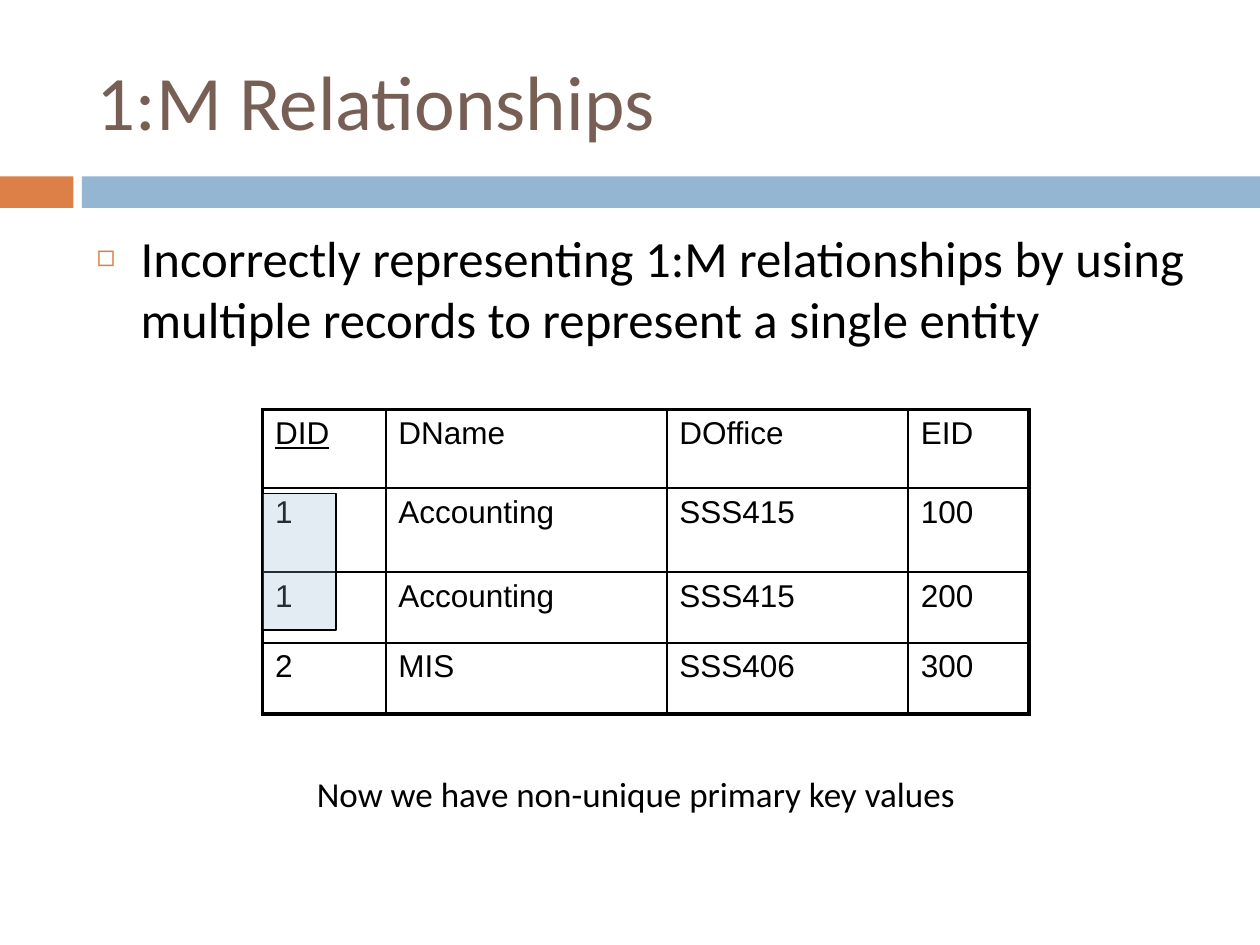
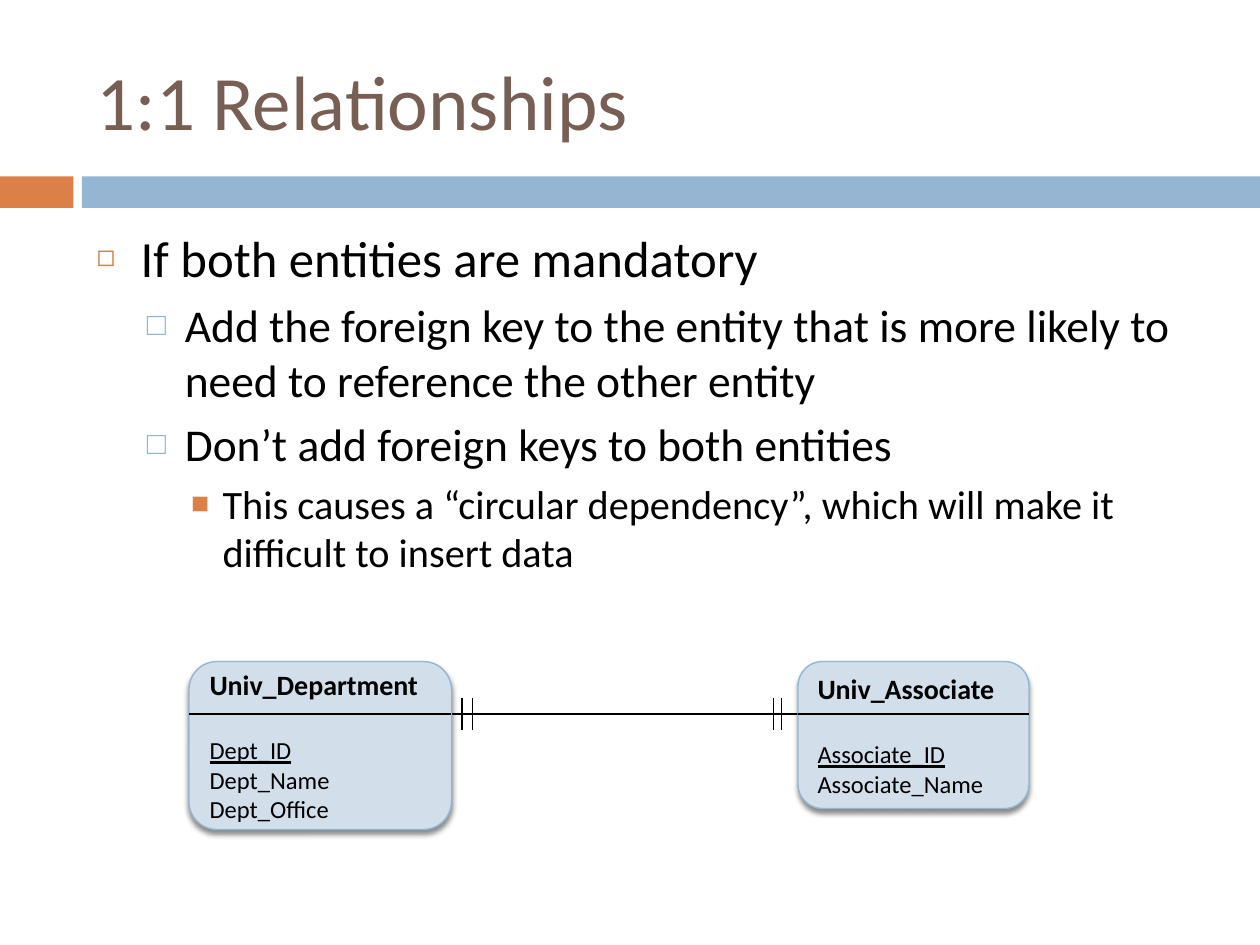
from collections import namedtuple

from lxml.etree import SubElement
from pptx import Presentation
from pptx.dml.color import RGBColor
from pptx.enum.shapes import MSO_CONNECTOR, MSO_SHAPE
from pptx.enum.text import MSO_ANCHOR, MSO_AUTO_SIZE, PP_ALIGN
from pptx.oxml.ns import qn
from pptx.util import Inches, Pt

COLUMNS, ROWS = 120, 90
SLIDE_WIDTH, SLIDE_HEIGHT = Inches(10), Inches(7.5)
BLACK, WHITE, BROWN = "000000", "FFFFFF", "775F55"
ORANGE, BLUE, PALE_BLUE = "DD8047", "94B6D2", "D2DEEA"

Box = namedtuple("Box", "left top width height")
Level = namedtuple("Level", "size indent hang before mark color share")

TITLE_BOX = Box(8, 3, 107, 13)
BODY_BOX = Box(8, 21, 107, 59)
BANDS = ((Box(0, 16.8, 7, 3), ORANGE), (Box(7.8, 16.8, 112.2, 3), BLUE))
LEVELS = (
    Level(29, 0.35, 0.35, 7, "◻", ORANGE, 60),
    Level(26, 0.7, 0.3, 5.5, "□", BLUE, 70),
    Level(23, 1, 0.25, 5, "■", ORANGE, 75),
)


def across(columns):
    """Turn grid columns into a length."""
    return round(SLIDE_WIDTH * columns / COLUMNS)


def down(rows):
    """Turn grid rows into a length."""
    return round(SLIDE_HEIGHT * rows / ROWS)


def measure(box):
    """Turn a grid box into left, top, width and height."""
    return across(box.left), down(box.top), across(box.width), down(box.height)


def rgb(value):
    """Make a colour from a hex string."""
    return RGBColor.from_string(value)


def write(frame, text, size=18, font="Calibri", color=BLACK, bold=False,
          underline=False, before=0, level=0):
    """Add one formatted paragraph to a text frame and return it."""
    paragraph = frame.paragraphs[-1]
    if paragraph.runs:
        paragraph = frame.add_paragraph()
    paragraph.alignment = PP_ALIGN.LEFT
    paragraph.space_before = Pt(before)
    paragraph.level = level
    run = paragraph.add_run()
    run.text = text
    run.font.size = Pt(size)
    run.font.name = font
    run.font.bold = bold
    run.font.underline = underline
    run.font.color.rgb = rgb(color)
    return paragraph


def add_block(slide, preset, box, fill, outline=None, weight=0.75):
    """Draw a preset shape with a flat fill and an optional outline."""
    block = slide.shapes.add_shape(preset, *measure(box))
    block.shadow.inherit = False
    block.fill.solid()
    block.fill.fore_color.rgb = rgb(fill)
    if outline:
        block.line.color.rgb = rgb(outline)
        block.line.width = Pt(weight)
    else:
        block.line.fill.background()
    return block


def add_rule(slide, left, top, width=0, height=0):
    """Draw a thin straight line from a grid point."""
    rule = slide.shapes.add_connector(
        MSO_CONNECTOR.STRAIGHT, across(left), down(top),
        across(left + width), down(top + height))
    rule.line.color.rgb = rgb(BLACK)
    rule.line.width = Pt(0.75)
    SubElement(rule.element.spPr, qn("a:effectLst"))


def add_bullet(paragraph, style):
    """Give a paragraph the indent and mark of its level."""
    properties = paragraph._p.get_or_add_pPr()
    properties.set("marL", str(Inches(style.indent)))
    properties.set("indent", str(-Inches(style.hang)))
    tint = SubElement(properties, qn("a:buClr"))
    SubElement(tint, qn("a:srgbClr"), val=style.color)
    SubElement(properties, qn("a:buSzPct"), val=str(style.share * 1000))
    SubElement(properties, qn("a:buFont"), typeface="Arial")
    SubElement(properties, qn("a:buChar"), char=style.mark)


def fill_placeholder(placeholder, box, anchor):
    """Move a placeholder into a box and return its text frame."""
    placeholder.left, placeholder.top, placeholder.width, placeholder.height = measure(box)
    frame = placeholder.text_frame
    frame.word_wrap = True
    frame.auto_size = MSO_AUTO_SIZE.NONE
    frame.vertical_anchor = anchor
    return frame


def add_list_slide(deck, title, points):
    """Add a slide with bands, a title and a list of (level, text) points."""
    slide = deck.slides.add_slide(deck.slide_layouts[1])
    for box, color in BANDS:
        add_block(slide, MSO_SHAPE.RECTANGLE, box, color)
    heading = fill_placeholder(slide.shapes.title, TITLE_BOX, MSO_ANCHOR.MIDDLE)
    write(heading, title, size=44, color=BROWN)
    body = fill_placeholder(slide.placeholders[1], BODY_BOX, MSO_ANCHOR.TOP)
    for level, text in points:
        style = LEVELS[level]
        add_bullet(write(body, text, size=style.size, before=style.before, level=level), style)
    return slide


def add_borders(cell, thick_sides):
    """Rule all four sides of a cell, with the outer sides thicker."""
    properties = cell._tc.get_or_add_tcPr()
    for side in "LRTB":
        weight = Pt(2.25 if side in thick_sides else 1)
        edge = SubElement(properties, qn(f"a:ln{side}"), w=str(weight))
        SubElement(SubElement(edge, qn("a:solidFill")), qn("a:srgbClr"), val=BLACK)


def add_records(slide, box, records, widths, heights):
    """Draw the department table, with its key heading underlined."""
    table = slide.shapes.add_table(len(records), len(widths), *measure(box)).table
    table.first_row = table.horz_banding = False
    for column, width in zip(table.columns, widths):
        column.width = across(width)
    for row, height in zip(table.rows, heights):
        row.height = down(height)
    last_row, last_column = len(records) - 1, len(widths) - 1
    for r, record in enumerate(records):
        for c, value in enumerate(record):
            cell = table.cell(r, c)
            outer = {"T": r == 0, "B": r == last_row, "L": c == 0, "R": c == last_column}
            add_borders(cell, [side for side, is_outer in outer.items() if is_outer])
            cell.fill.solid()
            cell.fill.fore_color.rgb = rgb(WHITE)
            write(cell.text_frame, value, font="Arial", before=3.6, underline=r == c == 0)


def add_key_highlight(slide, table_box):
    """Tint the repeated key values in the first column of the table."""
    box = Box(table_box.left, table_box.top + 8, 7, 13)
    highlight = add_block(slide, MSO_SHAPE.RECTANGLE, box, BLUE, BLACK)
    tint = highlight.element.spPr.find(qn("a:solidFill")).find(qn("a:srgbClr"))
    SubElement(tint, qn("a:alpha"), val="25000")


def add_remark(slide, box, text):
    """Place a line of text below the table."""
    frame = slide.shapes.add_textbox(*measure(box)).text_frame
    frame.word_wrap = True
    frame.auto_size = MSO_AUTO_SIZE.SHAPE_TO_FIT_TEXT
    write(frame, text, size=20)


def add_soft_shadow(block):
    """Cast a soft shadow straight down."""
    effects = block.element.spPr.find(qn("a:effectLst"))
    shadow = SubElement(effects, qn("a:outerShdw"), blurRad=str(Pt(3)),
                        dist=str(Pt(2.4)), dir="5400000", rotWithShape="0")
    tint = SubElement(shadow, qn("a:srgbClr"), val=BLACK)
    SubElement(tint, qn("a:alpha"), val="45000")


def add_entity(slide, box, name, key, *attributes):
    """Draw an entity with its name, a rule, its key and its attributes."""
    entity = add_block(slide, MSO_SHAPE.ROUNDED_RECTANGLE, box, PALE_BLUE, BLUE, 0.79)
    entity.adjustments[0] = 0.167
    add_soft_shadow(entity)
    frame = entity.text_frame
    frame.word_wrap = False
    frame.vertical_anchor = MSO_ANCHOR.MIDDLE
    write(frame, name, size=16, bold=True)
    write(frame, key, size=14, underline=True, before=19.5)
    for attribute in attributes:
        write(frame, attribute, size=14)
    add_rule(slide, box.left, box.top + 5, width=box.width)


def add_mandatory_link(slide, start, end):
    """Join two entity boxes with a one-to-one line and its double ticks."""
    start_edge = start.left + start.width
    level = start.top + 5
    add_rule(slide, start_edge - 1, level, width=end.left - start_edge + 1)
    for tick in (start_edge + 1, start_edge + 2, end.left - 2.3, end.left - 1.6):
        add_rule(slide, tick, level - 1.5, height=3)


def add_one_to_many(deck):
    """Build the slide on wrongly stored 1:M relationships."""
    slide = add_list_slide(deck, "1:M Relationships", [
        (0, "Incorrectly representing 1:M relationships by using "
            "multiple records to represent a single entity"),
    ])
    table_box = Box(25, 39, 73, 29)
    records = (
        ("DID", "DName", "DOffice", "EID"),
        ("1", "Accounting", "SSS415", "100"),
        ("1", "Accounting", "SSS415", "200"),
        ("2", "MIS", "SSS406", "300"),
    )
    add_records(slide, table_box, records, (11.75, 26.75, 23, 11.5), (7.5, 8, 6.75, 6.75))
    add_key_highlight(slide, table_box)
    add_remark(slide, Box(29, 73, 65, 5.25), "Now we have non-unique primary key values")


def add_one_to_one(deck):
    """Build the slide on mandatory 1:1 relationships."""
    slide = add_list_slide(deck, "1:1 Relationships", [
        (0, "If both entities are mandatory"),
        (1, "Add the foreign key to the entity that is more likely to "
            "need to reference the other entity"),
        (1, "Don’t add foreign keys to both entities"),
        (2, "This causes a “circular dependency”, which will make it "
            "difficult to insert data"),
    ])
    department, associate = Box(18, 63, 25, 16), Box(76, 63, 22, 14)
    add_mandatory_link(slide, department, associate)
    add_entity(slide, department, "Univ_Department", "Dept_ID", "Dept_Name", "Dept_Office")
    add_entity(slide, associate, "Univ_Associate", "Associate_ID", "Associate_Name")


def main():
    """Build and save the deck."""
    deck = Presentation()
    deck.slide_width, deck.slide_height = SLIDE_WIDTH, SLIDE_HEIGHT
    add_one_to_many(deck)
    add_one_to_one(deck)
    deck.save("out.pptx")


if __name__ == "__main__":
    main()
